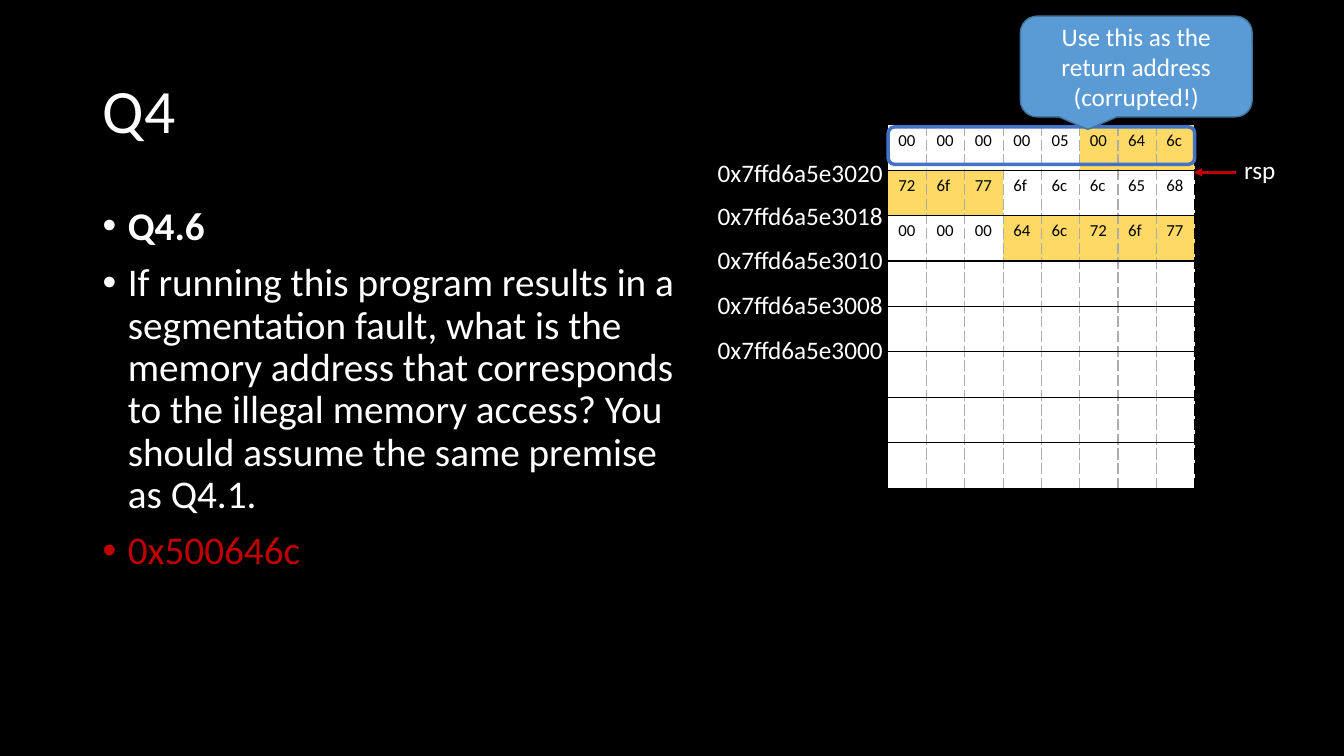
from dataclasses import dataclass

from lxml.etree import SubElement as Sub
from pptx import Presentation
from pptx.dml.color import RGBColor as Rgb
from pptx.enum.shapes import MSO_CONNECTOR as Link
from pptx.enum.shapes import MSO_SHAPE as Kind
from pptx.enum.text import MSO_ANCHOR as Anchor
from pptx.enum.text import PP_ALIGN as Align
from pptx.oxml.ns import qn
from pptx.util import Emu, Pt

SCALE = 9144


def px(count: int) -> Emu:
    return Emu(count * SCALE)


@dataclass(frozen=True)
class Theme:
    font: str = "Calibri"
    black: str = "000000"
    white: str = "FFFFFF"
    red: str = "C00000"
    gold: str = "FFD966"
    gray: str = "AFABAB"
    ring: str = "4472C4"
    blue: str = "5B9BD5"
    rim: str = "43739E"
    head: int = 44
    body: int = 28
    label: int = 18
    byte: int = 12


@dataclass(frozen=True)
class Box:
    left: int
    top: int
    width: int
    height: int

    def place(self) -> tuple[Emu, Emu, Emu, Emu]:
        return px(self.left), px(self.top), px(self.width), px(self.height)


@dataclass(frozen=True)
class Label:
    text: str
    box: Box
    wrap: bool = False


@dataclass(frozen=True)
class Point:
    text: str
    color: str
    bold: bool = False


@dataclass(frozen=True)
class Word:
    data: str = ""
    hot: range = range(0)


THEME = Theme()
COLS, COL, ROW = 8, 38, 45

POINTS = [
    Point("Q4.6", THEME.white, True),
    Point(
        "If running this program results in a segmentation fault, what is the "
        "memory address that corresponds to the illegal memory access? "
        "You should assume the same premise as Q4.1.",
        THEME.white,
    ),
    Point("0x500646c", THEME.red),
]

WORDS = [
    Word("00 00 00 00 05 00 64 6c", range(5, 8)),
    Word("72 6f 77 6f 6c 6c 65 68", range(3)),
    Word("00 00 00 64 6c 72 6f 77", range(3, 8)),
] + [Word()] * 5

TOPS = {
    "0x7ffd6a5e3020": 151,
    "0x7ffd6a5e3018": 194,
    "0x7ffd6a5e3010": 237,
    "0x7ffd6a5e3008": 282,
    "0x7ffd6a5e3000": 327,
}

LABELS = [Label("rsp", Box(1224, 148, 98, 40), True)] + [
    Label(text, Box(702, top, 186, 40)) for text, top in TOPS.items()
]


def style(para, size: int, color: str, bold: bool = False) -> None:
    for run in para.runs:
        run.font.name = THEME.font
        run.font.size = Pt(size)
        run.font.bold = bold
        run.font.color.rgb = Rgb.from_string(color)


def paint(fill, color: str) -> None:
    fill.solid()
    fill.fore_color.rgb = Rgb.from_string(color)


def add_title(slide, text: str, box: Box) -> None:
    title = slide.shapes.title
    title.left, title.top, title.width, title.height = box.place()
    frame = title.text_frame
    frame.text = text
    frame.vertical_anchor = Anchor.MIDDLE
    para = frame.paragraphs[0]
    para.alignment = Align.LEFT
    para.line_spacing = 0.9
    style(para, THEME.head, THEME.white)


def add_points(slide, points: list[Point], box: Box) -> None:
    frame = slide.shapes.add_textbox(*box.place()).text_frame
    frame.word_wrap = True
    frame.text = "\n".join(point.text for point in points)
    for para, point in zip(frame.paragraphs, points):
        para.line_spacing = 0.9
        para.space_before = Pt(10)
        style(para, THEME.body, point.color, point.bold)
        props = para._p.get_or_add_pPr()
        props.set("marL", str(px(25)))
        props.set("indent", str(px(-25)))
        Sub(props, qn("a:buFont"), typeface="Arial")
        Sub(props, qn("a:buChar"), char="•")


def add_edge(props, side: str, color: str | None, dash: str) -> None:
    line = Sub(props, qn(f"a:ln{side}"), w=str(Pt(1)))
    if color is None:
        Sub(line, qn("a:noFill"))
        return
    Sub(Sub(line, qn("a:solidFill")), qn("a:srgbClr"), val=color)
    Sub(line, qn("a:prstDash"), val=dash)


def add_stack(slide, words: list[Word], left: int, top: int) -> None:
    box = Box(left, top, COLS * COL, len(words) * ROW)
    table = slide.shapes.add_table(len(words), COLS, *box.place()).table
    table.first_row = table.horz_banding = False
    for col in table.columns:
        col.width = px(COL)
    last = len(words) - 1
    for row, word in enumerate(words):
        table.rows[row].height = px(ROW)
        data = word.data.split() or [""] * COLS
        for col, text in enumerate(data):
            cell = table.cell(row, col)
            cell.text = text
            style(cell.text_frame.paragraphs[0], THEME.byte, THEME.black)
            props = cell._tc.get_or_add_tcPr()
            add_edge(props, "L", THEME.gray if col else None, "sysDash")
            right = THEME.gray if col < COLS - 1 else THEME.black
            add_edge(props, "R", right, "sysDash")
            add_edge(props, "T", THEME.black if row else None, "solid")
            add_edge(props, "B", THEME.black if row < last else None, "solid")
            paint(cell.fill, THEME.gold if col in word.hot else THEME.white)


def add_label(slide, label: Label) -> None:
    frame = slide.shapes.add_textbox(*label.box.place()).text_frame
    frame.word_wrap = label.wrap
    frame.text = label.text
    style(frame.paragraphs[0], THEME.label, THEME.white)


def add_arrow(slide, start: int, end: int, level: int) -> None:
    arrow = slide.shapes.add_connector(
        Link.STRAIGHT, px(start), px(level), px(end), px(level)
    )
    arrow.line.width = Pt(2)
    arrow.line.color.rgb = Rgb.from_string(THEME.red)
    Sub(arrow.line._get_or_add_ln(), qn("a:tailEnd"), type="triangle")
    Sub(arrow._element.spPr, qn("a:effectLst"))


def add_shape(slide, kind: Kind, box: Box, rim: str, width: float):
    shape = slide.shapes.add_shape(kind, *box.place())
    shape.shadow.inherit = False
    shape.line.color.rgb = Rgb.from_string(rim)
    shape.line.width = Pt(width)
    return shape


def main() -> None:
    deck = Presentation()
    deck.slide_width, deck.slide_height = px(1333), px(750)
    slide = deck.slides.add_slide(deck.slide_layouts[5])
    paint(slide.background.fill, THEME.black)
    add_title(slide, "Q4", Box(92, 40, 1150, 145))
    add_points(slide, POINTS, Box(92, 200, 593, 476))
    add_stack(slide, WORDS, 881, 124)
    add_arrow(slide, 1226, 1184, 171)
    for label in LABELS:
        add_label(slide, label)
    ring = add_shape(slide, Kind.ROUNDED_RECTANGLE, Box(881, 126, 304, 37), THEME.ring, 2.5)
    ring.fill.background()
    note = add_shape(
        slide, Kind.ROUNDED_RECTANGULAR_CALLOUT, Box(1012, 16, 230, 100), THEME.rim, 1
    )
    paint(note.fill, THEME.blue)
    frame = note.text_frame
    frame.word_wrap = True
    frame.vertical_anchor = Anchor.MIDDLE
    frame.text = "Use this as the return address (corrupted!)"
    frame.paragraphs[0].alignment = Align.CENTER
    style(frame.paragraphs[0], THEME.label, THEME.white)
    deck.save("out.pptx")


if __name__ == "__main__":
    main()
